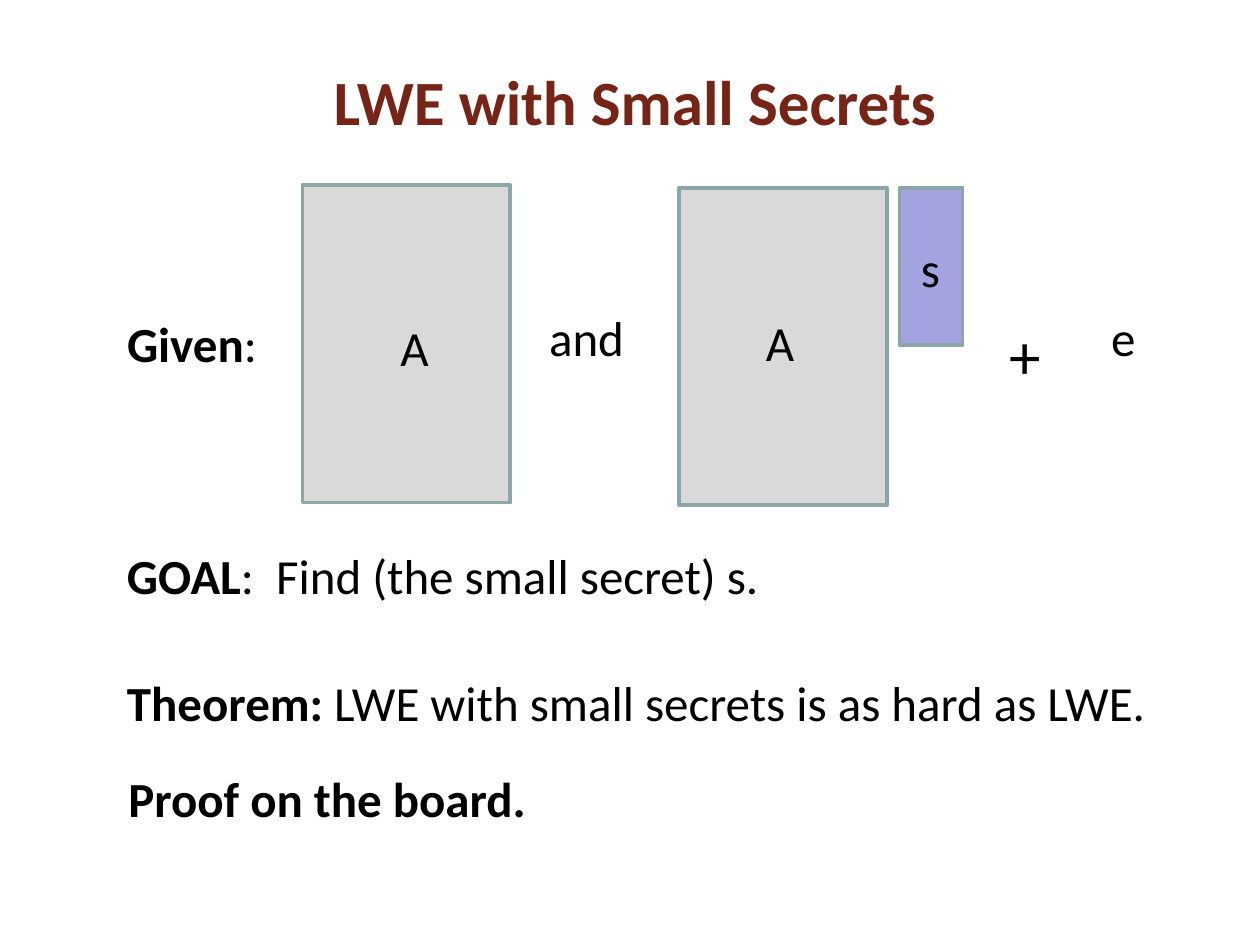
import pptx
import pptx.dml.color
import pptx.enum.shapes
import pptx.enum.text
import pptx.util

MAROON = pptx.dml.color.RGBColor(0x76, 0x24, 0x16)
BLACK = pptx.dml.color.RGBColor(0, 0, 0)
GREY = pptx.dml.color.RGBColor(0xD9, 0xD9, 0xD9)
LILAC = pptx.dml.color.RGBColor(0xA3, 0xA3, 0xE0)
TEAL = pptx.dml.color.RGBColor(0x8A, 0xA6, 0xA8)

presentation = pptx.Presentation()
presentation.slide_width = pptx.util.Inches(10)
presentation.slide_height = pptx.util.Inches(7.5)
slide = presentation.slides.add_slide(presentation.slide_layouts[5])

# Grid: 100 columns by 75 rows
COLUMN = presentation.slide_width / 100
ROW = presentation.slide_height / 75
LABEL_HEIGHT = 6.5
MARGIN = 9.1


def grid(left, top, width, height):
    return [round(left * COLUMN), round(top * ROW),
            round(width * COLUMN), round(height * ROW)]


def write(shape, runs, size=28, color=BLACK):
    frame = shape.text_frame
    frame.word_wrap = True
    frame.vertical_anchor = pptx.enum.text.MSO_ANCHOR.MIDDLE
    paragraph = frame.paragraphs[0]
    for text, bold in runs:
        run = paragraph.add_run()
        run.text = text
        run.font.name = "Calibri"
        run.font.size = pptx.util.Pt(size)
        run.font.bold = bold
        run.font.color.rgb = color
    return paragraph


# Title
title = slide.shapes.title
title.left, title.top, title.width, title.height = grid(3.3, 1.7, 94.2, 12.5)
paragraph = write(title, [("LWE with Small Secrets", True)], 36, MAROON)
paragraph.alignment = pptx.enum.text.PP_ALIGN.CENTER

# Matrices A and secret vector s
for left, top, width, height, fill in [
    (24, 14.7, 16.5, 25.2, GREY),
    (53.9, 14.9, 16.5, 25.2, GREY),
    (71.4, 14.9, 5, 12.5, LILAC),
]:
    block = slide.shapes.add_shape(
        pptx.enum.shapes.MSO_SHAPE.RECTANGLE, *grid(left, top, width, height))
    block.shadow.inherit = False
    block.fill.solid()
    block.fill.fore_color.rgb = fill
    block.line.color.rgb = TEAL
    block.line.width = pptx.util.Pt(2)

# Labels of the equation
for text, left, top, width, size in [
    ("A", 30.8, 24.3, 4.7, 28),
    ("and", 42.6, 23.5, 8.9, 28),
    ("A", 59.8, 23.9, 4.7, 28),
    ("s", 72.1, 18, 4.7, 28),
    ("+", 79.1, 24.9, 8.9, 36),
    ("e", 87.2, 23.5, 4.7, 28),
]:
    label = slide.shapes.add_textbox(*grid(left, top, width, LABEL_HEIGHT))
    write(label, [(text, False)], size)

# Statements down the left margin
for left, top, width, height, runs in [
    (MARGIN, 24, 13.8, LABEL_HEIGHT, [("Given", True), (":", False)]),
    (MARGIN, 42.4, 63, LABEL_HEIGHT,
     [("GOAL", True), (":  Find (the small secret) s.", False)]),
    (MARGIN, 50.1, 88, 11.3,
     [("Theorem: ", True), ("LWE with small secrets is as hard as LWE.", False)]),
    (MARGIN + 0.1, 57.7, 88, 11.3, [("Proof on the board.", True)]),
]:
    statement = slide.shapes.add_textbox(*grid(left, top, width, height))
    write(statement, runs)

presentation.save("out.pptx")
